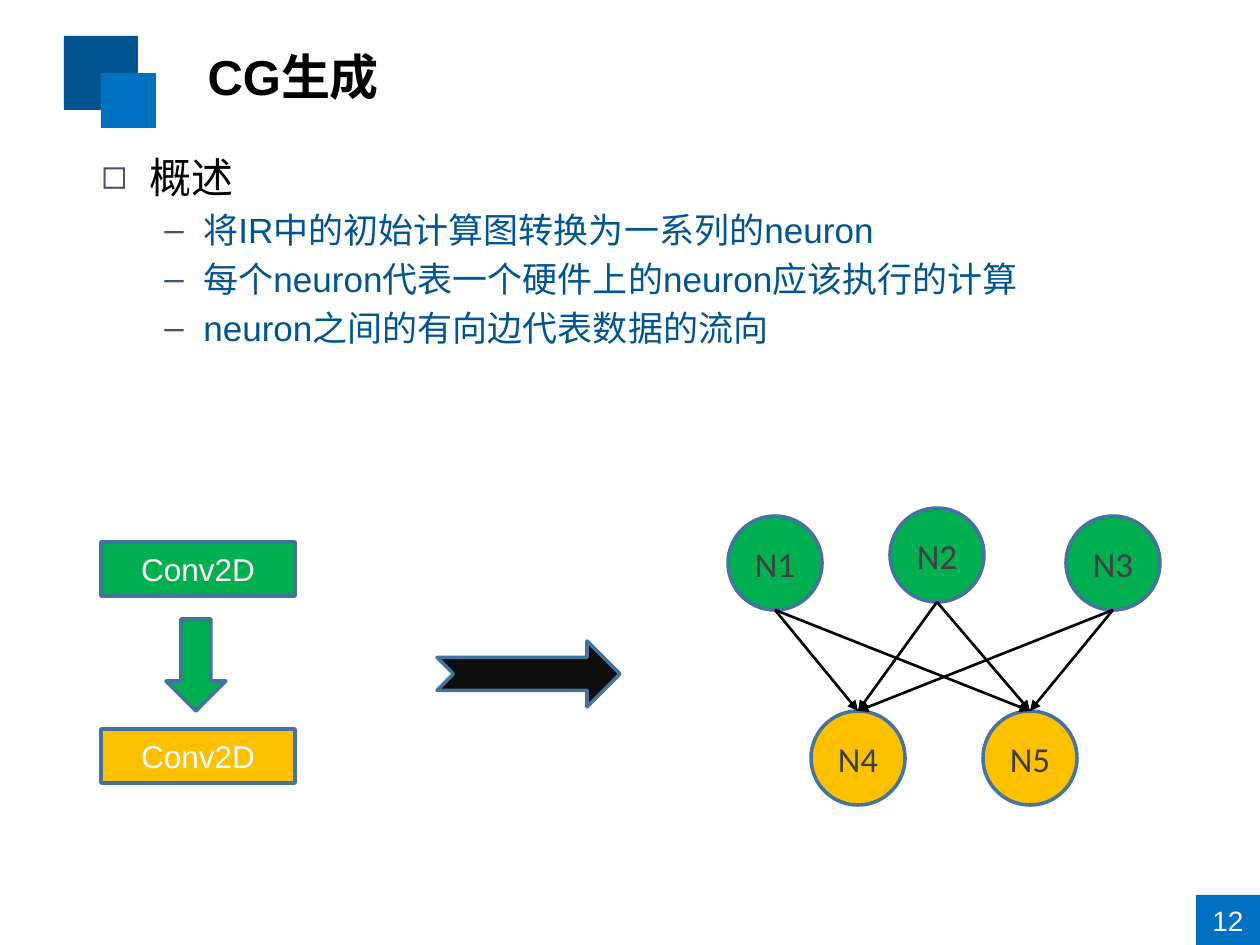
from lxml import etree
from pptx import Presentation
from pptx import util as u
from pptx.dml.color import RGBColor
from pptx.enum import shapes, text
from pptx.oxml.ns import qn

HUES = {
    "navy": "005490", "blue": "0070C0", "slate": "44546A", "edge": "43739E",
    "green": "00B050", "gold": "FFC000", "gray": "404040", "ink": "0D0D0D",
    "black": "000000", "white": "FFFFFF",
}
KIND = shapes.MSO_SHAPE


def px(n):
    return round(n * 914400 / 126)


def hue(name):
    return RGBColor.from_string(HUES[name])


def put_run(para, words, size, color, font="Arial", bold=False):
    run = para.add_run()
    run.text = words
    run.font.size = u.Pt(size)
    run.font.name = font
    run.font.bold = bold
    run.font.color.rgb = hue(color)


def put_shape(slide, kind, box, fill, edge=None):
    shape = slide.shapes.add_shape(kind, *map(px, box))
    shape.shadow.inherit = False
    shape.fill.solid()
    shape.fill.fore_color.rgb = hue(fill)
    if edge:
        shape.line.color.rgb = hue(edge)
        shape.line.width = u.Pt(2)
    else:
        shape.line.fill.background()
    return shape


def label(shape, words, size, color, font="Arial"):
    frame = shape.text_frame
    frame.margin_left = frame.margin_right = 0
    frame.vertical_anchor = text.MSO_ANCHOR.MIDDLE
    para = frame.paragraphs[0]
    para.alignment = text.PP_ALIGN.CENTER
    put_run(para, words, size, color, font)


def add_bullet(para, mark, left, hang):
    props = para._p.get_or_add_pPr()
    props.set("marL", str(px(left)))
    props.set("indent", str(-px(hang)))
    tint = etree.SubElement(props, qn("a:buClr"))
    etree.SubElement(tint, qn("a:srgbClr"), val=HUES["slate"])
    etree.SubElement(props, qn("a:buFont"), typeface="Arial")
    etree.SubElement(props, qn("a:buChar"), char=mark)


def add_head(slide, x, y):
    # Two overlapping squares, then the title
    put_shape(slide, KIND.RECTANGLE, (x, y, 74, 74), "navy")
    put_shape(slide, KIND.RECTANGLE, (x + 37, y + 37, 55, 55), "blue")
    title = slide.shapes.title
    title.left, title.top, title.width, title.height = map(
        px, (x + 131, y, 980, 80))
    title.text_frame.vertical_anchor = text.MSO_ANCHOR.MIDDLE
    para = title.text_frame.paragraphs[0]
    para.alignment = text.PP_ALIGN.LEFT
    put_run(para, "CG生成", 28, "black", bold=True)


def add_body(slide, box):
    frame = slide.shapes.add_textbox(*map(px, box)).text_frame
    frame.word_wrap = True
    lines = [
        (0, "概述"),
        (1, "将IR中的初始计算图转换为一系列的neuron"),
        (1, "每个neuron代表一个硬件上的neuron应该执行的计算"),
        (1, "neuron之间的有向边代表数据的流向"),
    ]
    styles = [(24, "black", "◻", 48, 48), (20, "navy", "–", 102, 39)]
    for i, (level, words) in enumerate(lines):
        size, color, mark, left, hang = styles[level]
        para = frame.add_paragraph() if i else frame.paragraphs[0]
        para.level = level
        para.space_before = u.Pt(size / 5)
        add_bullet(para, mark, left, hang)
        put_run(para, words, size, color)


def add_layers(slide, x, y):
    # Two layers joined by a block arrow
    for drop, fill in ((0, "green"), (187, "gold")):
        node = put_shape(slide, KIND.FLOWCHART_PROCESS,
                         (x, y + drop, 194, 54), fill, "edge")
        label(node, "Conv2D", 18, "white")
    put_shape(slide, KIND.DOWN_ARROW, (x + 65, y + 77, 60, 92),
              "green", "edge")


def add_edge(slide, start, goal):
    # From the bottom of one circle to the top of another
    x = start.left + start.width // 2
    y = start.top + start.height
    edge = slide.shapes.add_connector(
        shapes.MSO_CONNECTOR.STRAIGHT, x, y, goal.left, goal.top)
    edge.end_connect(goal, 0)
    edge.line.color.rgb = hue("black")
    edge.line.width = u.Pt(1.5)
    etree.SubElement(edge.line._get_or_add_ln(), qn("a:tailEnd"),
                     type="triangle")
    etree.SubElement(edge._element.spPr, qn("a:effectLst"))


def add_graph(slide, x, y):
    def add_row(spots, fill, first):
        row = []
        for i, (dx, dy) in enumerate(spots, first):
            node = put_shape(slide, KIND.OVAL, (x + dx, y + dy, 94, 94),
                             fill, "edge")
            label(node, f"N{i}", 20, "gray", "Calibri")
            row.append(node)
        return row

    tops = add_row([(0, 8), (162, 0), (338, 8)], "green", 1)
    lows = add_row([(83, 203), (255, 203)], "gold", 4)
    for start in tops:
        for goal in lows:
            add_edge(slide, start, goal)


def add_page(slide, box):
    label(put_shape(slide, KIND.RECTANGLE, box, "blue"), "12", 16, "white")


def main():
    deck = Presentation()
    deck.slide_width, deck.slide_height = px(1260), px(945)
    slide = deck.slides.add_slide(deck.slide_layouts[5])
    add_head(slide, 64, 36)
    add_body(slide, (89, 145, 955, 420))
    add_layers(slide, 101, 542)
    put_shape(slide, KIND.NOTCHED_RIGHT_ARROW, (437, 641, 183, 66),
              "ink", "edge")
    add_graph(slide, 728, 508)
    add_page(slide, (1196, 895, 64, 50))
    deck.save("out.pptx")


if __name__ == "__main__":
    main()
